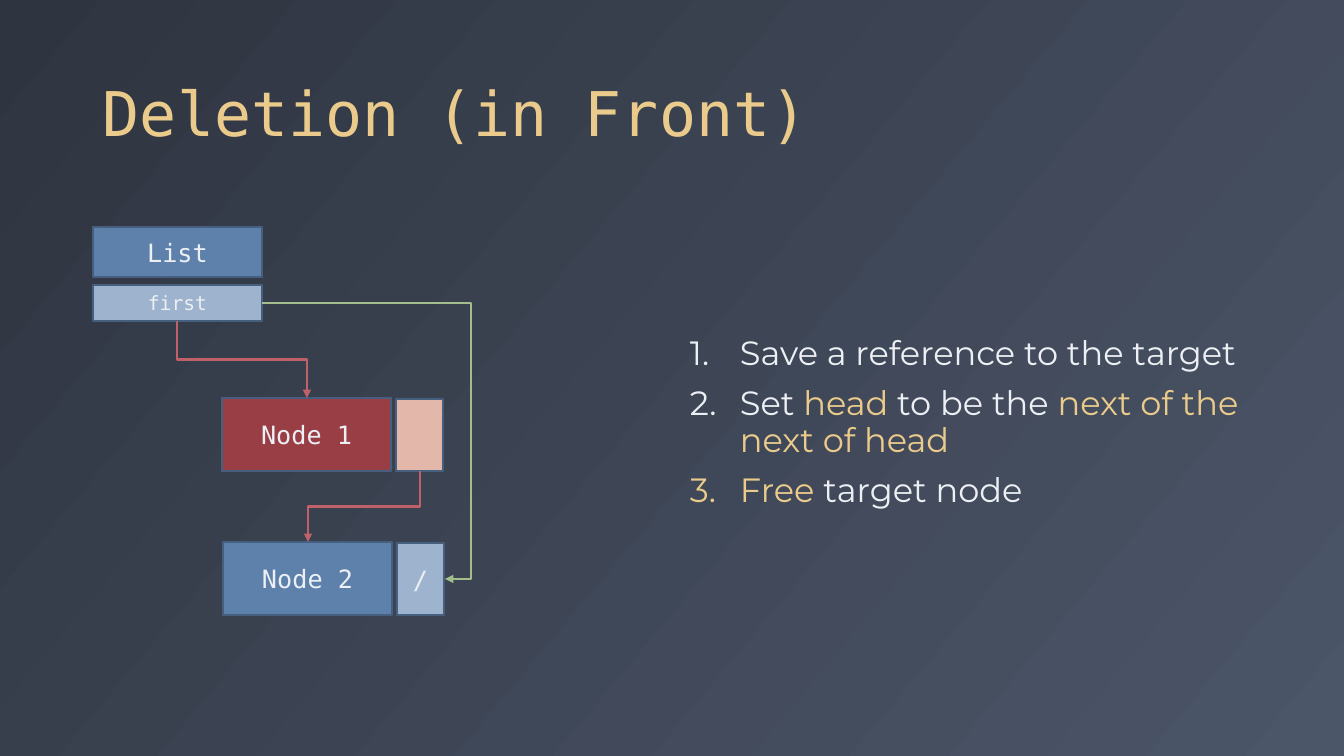
"""Build the slide on deleting the front node of a linked list."""
import dataclasses

import lxml.etree
import pptx
import pptx.dml.color
import pptx.enum.shapes
import pptx.enum.text
import pptx.oxml.ns
import pptx.util

ALIGN = pptx.enum.text.PP_ALIGN
ANCHOR = pptx.enum.text.MSO_ANCHOR
qn = pptx.oxml.ns.qn


@dataclasses.dataclass(frozen=True)
class Theme:
    back_start: str = "2E3440"
    back_end: str = "4C5669"
    accent: str = "EBCB8B"
    light: str = "ECEFF3"
    blue: str = "5E81AC"
    pale_blue: str = "9EB3CD"
    red: str = "9A3E46"
    pale_red: str = "E3B7A9"
    outline: str = "465F7F"
    old_link: str = "BF6169"
    new_link: str = "A3BE8C"
    mono: str = "DejaVu Sans Mono"
    sans: str = "Montserrat"
    title: int = 44
    body: int = 24
    label: int = 18
    field: int = 14


THEME = Theme()


def px(n):
    return pptx.util.Emu(round(n * 914400 / 100.8))


def rgb(value):
    return pptx.dml.color.RGBColor.from_string(value)


def write(tf, paragraphs, *, size, font=THEME.mono, anchor=ANCHOR.MIDDLE,
          align=ALIGN.LEFT, spacing=None, before=0, numbered=False):
    tf.word_wrap = True
    tf.vertical_anchor = anchor
    for i, runs in enumerate(paragraphs):
        p = tf.add_paragraph() if i else tf.paragraphs[0]
        p.alignment = align
        if numbered:
            pPr = p._p.get_or_add_pPr()
            indent = px(50)
            pPr.set("marL", str(indent))
            pPr.set("indent", str(-indent))
            lxml.etree.SubElement(pPr, qn("a:buFont"), typeface="+mj-lt")
            lxml.etree.SubElement(pPr, qn("a:buAutoNum"), type="arabicPeriod")
        if spacing:
            p.line_spacing = spacing
        if i and before:
            p.space_before = pptx.util.Pt(before)
        for text, color in runs:
            r = p.add_run()
            r.text = text
            r.font.name = font
            r.font.size = pptx.util.Pt(size)
            r.font.color.rgb = rgb(color)


def add_text(s, box, paragraphs, **fmt):
    sp = s.shapes.add_textbox(*map(px, box))
    write(sp.text_frame, paragraphs, **fmt)


def add_box(s, box, fill, label="", size=THEME.label):
    sp = s.shapes.add_shape(pptx.enum.shapes.MSO_SHAPE.RECTANGLE, *map(px, box))
    sp.shadow.inherit = False
    sp.fill.solid()
    sp.fill.fore_color.rgb = rgb(fill)
    sp.line.color.rgb = rgb(THEME.outline)
    sp.line.width = pptx.util.Pt(1)
    if label:
        write(sp.text_frame, [[(label, THEME.light)]], size=size, align=ALIGN.CENTER)


def add_node(s, left, top, label, fill, pointer_fill, pointer=""):
    add_box(s, (left, top, 169, 73), fill, label)
    add_box(s, (left + 174, top + 1, 47, 72), pointer_fill, pointer)


def add_elbow(s, begin, end, color, bend=None):
    cxn = s.shapes.add_connector(pptx.enum.shapes.MSO_CONNECTOR.ELBOW,
                                 *map(px, (*begin, *end)))
    cxn.line.color.rgb = rgb(color)
    cxn.line.width = pptx.util.Pt(1.5)
    spPr = cxn._element.spPr
    lxml.etree.SubElement(cxn.line._get_or_add_ln(), qn("a:tailEnd"), type="triangle")
    lxml.etree.SubElement(spPr, qn("a:effectLst"))
    if bend:
        guides = spPr.find(qn("a:prstGeom")).find(qn("a:avLst"))
        lxml.etree.SubElement(guides, qn("a:gd"), name="adj1",
                              fmla=f"val {round(bend * 100000)}")
    return cxn


def add_down_elbow(s, begin, end, color):
    (x1, y1), (x2, y2) = begin, end
    cx, cy = (x1 + x2) / 2, (y1 + y2) / 2
    rightward = x2 > x1
    half_w = (y2 - y1) / 2 * (-1 if rightward else 1)
    half_h = abs(x2 - x1) / 2
    cxn = add_elbow(s, (cx - half_w, cy - half_h), (cx + half_w, cy + half_h), color)
    xfrm = cxn._element.spPr.find(qn("a:xfrm"))
    xfrm.set("rot", str((270 if rightward else 90) * 60000))


def set_background(s):
    fill = s.background.fill
    fill.gradient()
    fill.gradient_angle = 320
    for stop, color in zip(fill.gradient_stops, (THEME.back_start, THEME.back_end)):
        stop.color.rgb = rgb(color)


def main():
    prs = pptx.Presentation()
    prs.slide_width, prs.slide_height = px(1344), px(756)
    s = prs.slides.add_slide(prs.slide_layouts[6])
    set_background(s)
    add_text(s, (93, 18, 1159, 137), [[("Deletion (in Front)", THEME.accent)]],
             size=THEME.title, anchor=ANCHOR.BOTTOM, spacing=0.9)

    add_node(s, 222, 398, "Node 1", THEME.red, THEME.pale_red)
    add_node(s, 223, 542, "Node 2", THEME.blue, THEME.pale_blue, "/")
    add_box(s, (93, 227, 169, 50), THEME.blue, "List")
    add_box(s, (93, 285, 169, 36), THEME.pale_blue, "first", THEME.field)

    add_down_elbow(s, (177, 321), (307, 398), THEME.old_link)
    add_down_elbow(s, (420, 471), (308, 542), THEME.old_link)
    add_elbow(s, (262, 303), (445, 579), THEME.new_link, bend=1.14)

    steps = [
        [("Save a reference to the target", THEME.light)],
        [("Set ", THEME.light), ("head", THEME.accent), (" to be the ", THEME.light),
         ("next of the next of head", THEME.accent)],
        [("Free ", THEME.accent), ("target node", THEME.light)],
    ]
    add_text(s, (680, 202, 572, 442), steps, size=THEME.body, font=THEME.sans,
             spacing=0.9, before=10, numbered=True)
    prs.save("out.pptx")


if __name__ == "__main__":
    main()
